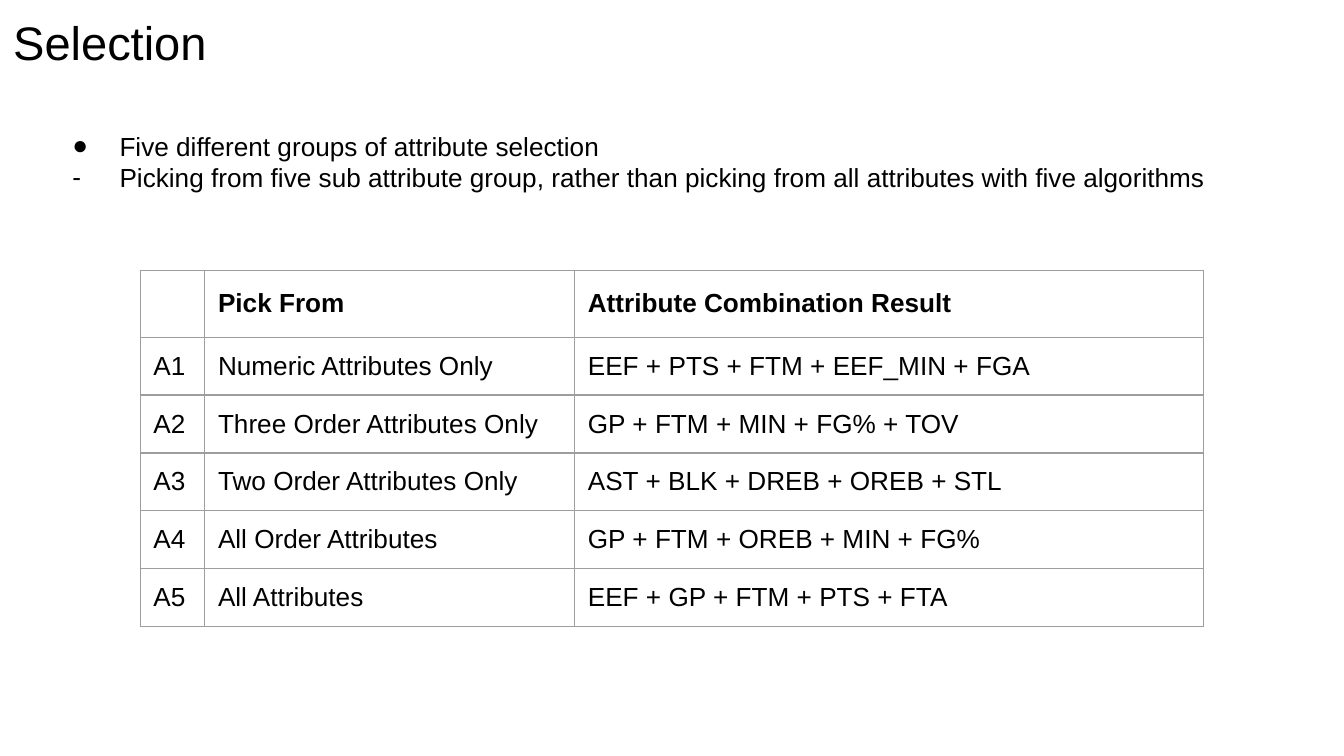
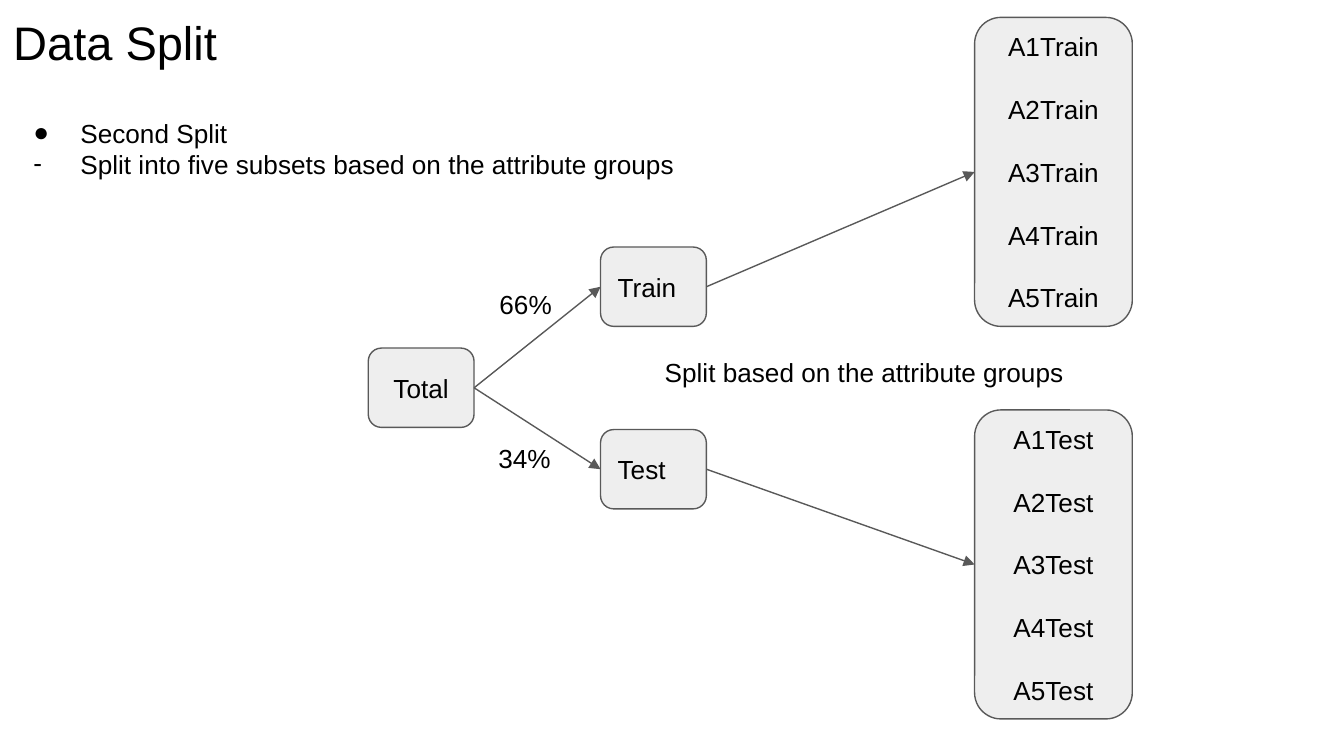
"""Build two slides on attribute selection and the data split."""
import dataclasses

import lxml.etree
import pptx
import pptx.dml.color
import pptx.enum.shapes
import pptx.enum.text
import pptx.oxml.ns
import pptx.util

Cm = pptx.util.Cm
Pt = pptx.util.Pt
qn = pptx.oxml.ns.qn
RGBColor = pptx.dml.color.RGBColor
Align = pptx.enum.text.PP_ALIGN
Anchor = pptx.enum.text.MSO_ANCHOR


@dataclasses.dataclass(frozen=True)
class Theme:
    """Colours, type sizes and line weights of both slides."""
    font: str = "Arial"
    text: str = "000000"
    box: str = "EEEEEE"
    outline: str = "595959"
    grid: str = "9E9E9E"
    title_size: float = 25.2
    body_size: float = 14
    list_gap: float = 16.8
    line_width: float = 0.75
    inset: float = 0.25


THEME = Theme()

GROUPS = [
    ("", "Pick From", "Attribute Combination Result"),
    ("A1", "Numeric Attributes Only", "EEF + PTS + FTM + EEF_MIN + FGA"),
    ("A2", "Three Order Attributes Only", "GP + FTM + MIN + FG% + TOV"),
    ("A3", "Two Order Attributes Only", "AST + BLK + DREB + OREB + STL"),
    ("A4", "All Order Attributes", "GP + FTM + OREB + MIN + FG%"),
    ("A5", "All Attributes", "EEF + GP + FTM + PTS + FTA"),
]


def write(frame, lines, size=THEME.body_size, align=Align.LEFT, bold=False, gap=0):
    """Fill a text frame with one formatted paragraph per line."""
    frame.text = "\n".join(lines)
    for number, paragraph in enumerate(frame.paragraphs):
        paragraph.alignment = align
        if gap and number:
            paragraph.space_before = Pt(gap)
        for run in paragraph.runs:
            run.font.name = THEME.font
            run.font.size = Pt(size)
            run.font.bold = bold
            run.font.color.rgb = RGBColor.from_string(THEME.text)


def set_insets(frame):
    """Give a text frame equal insets and wrapping."""
    frame.word_wrap = True
    frame.margin_left = frame.margin_right = Cm(THEME.inset)
    frame.margin_top = frame.margin_bottom = Cm(THEME.inset)


def add_text(slide, area, lines, **style):
    """Add a text box and return its frame."""
    frame = slide.shapes.add_textbox(*map(Cm, area)).text_frame
    set_insets(frame)
    write(frame, lines, **style)
    return frame


def add_title(slide, title):
    """Add the slide title."""
    add_text(slide, (0, 0, 23.67, 1.6), [title], size=THEME.title_size)


def add_bullets(slide, area, topic, detail):
    """Add a dotted topic followed by a dashed detail."""
    frame = add_text(slide, area, [topic, detail])
    for paragraph, mark in zip(frame.paragraphs, "●-"):
        properties = paragraph._p.get_or_add_pPr()
        properties.set("marL", str(Cm(1.27)))
        properties.set("indent", str(Cm(-0.89)))
        colour = lxml.etree.SubElement(properties, qn("a:buClr"))
        lxml.etree.SubElement(colour, qn("a:srgbClr"), val=THEME.text)
        lxml.etree.SubElement(properties, qn("a:buFont"), typeface=THEME.font)
        lxml.etree.SubElement(properties, qn("a:buChar"), char=mark)


def set_borders(cell):
    """Draw a thin grid line on each side of a cell."""
    properties = cell._tc.get_or_add_tcPr()
    for position, side in enumerate(("a:lnL", "a:lnR", "a:lnT", "a:lnB")):
        border = lxml.etree.Element(qn(side), w=str(Pt(THEME.line_width)))
        fill = lxml.etree.SubElement(border, qn("a:solidFill"))
        lxml.etree.SubElement(fill, qn("a:srgbClr"), val=THEME.grid)
        properties.insert(position, border)


def add_group_table(slide, left, top, widths, row_height, rows):
    """Add an unfilled, bordered table with a bold header row."""
    table = slide.shapes.add_table(
        len(rows), len(widths), Cm(left), Cm(top),
        Cm(sum(widths)), Cm(row_height * len(rows))).table
    table.first_row = table.horz_banding = False
    for column, width in zip(table.columns, widths):
        column.width = Cm(width)
    for row_number, values in enumerate(rows):
        table.rows[row_number].height = Cm(row_height)
        for column_number, value in enumerate(values):
            cell = table.cell(row_number, column_number)
            cell.fill.background()
            cell.vertical_anchor = Anchor.MIDDLE
            cell.margin_left = cell.margin_right = Cm(THEME.inset)
            cell.margin_top = cell.margin_bottom = Cm(THEME.inset)
            write(cell.text_frame, [value], bold=row_number == 0)
            set_borders(cell)


def add_box(slide, area, lines, align=Align.CENTER):
    """Add a rounded process box."""
    box = slide.shapes.add_shape(
        pptx.enum.shapes.MSO_SHAPE.FLOWCHART_ALTERNATE_PROCESS, *map(Cm, area))
    box.shadow.inherit = False
    box.fill.solid()
    box.fill.fore_color.rgb = RGBColor.from_string(THEME.box)
    box.line.color.rgb = RGBColor.from_string(THEME.outline)
    box.line.width = Pt(THEME.line_width)
    set_insets(box.text_frame)
    box.text_frame.vertical_anchor = Anchor.MIDDLE
    write(box.text_frame, lines, align=align, gap=THEME.list_gap)
    return box


def add_arrow(slide, source, target):
    """Link the right side of one box to the left side of another."""
    arrow = slide.shapes.add_connector(
        pptx.enum.shapes.MSO_CONNECTOR.STRAIGHT, 0, 0, 0, 0)
    arrow.begin_connect(source, 3)
    arrow.end_connect(target, 1)
    arrow.line.color.rgb = RGBColor.from_string(THEME.outline)
    arrow.line.width = Pt(THEME.line_width)
    properties = arrow._element.spPr
    lxml.etree.SubElement(properties.find(qn("a:ln")), qn("a:tailEnd"), type="triangle")
    lxml.etree.SubElement(properties, qn("a:effectLst"))


def build_selection(slide):
    """Build the slide with the attribute groups."""
    add_title(slide, "Selection")
    add_bullets(
        slide, (0.74, 2.21, 24.13, 1.7),
        "Five different groups of attribute selection",
        "Picking from five sub attribute group, rather than picking from "
        "all attributes with five algorithms")
    add_group_table(slide, 2.65, 5.11, (1.22, 6.99, 11.89), 1.07, GROUPS)


def build_data_split(slide):
    """Build the slide with the split tree."""
    add_title(slide, "Data Split")
    total = add_box(slide, (6.96, 6.58, 2, 1.5), ["Total"])
    branches = (
        ("Train", 4.67, 0.33, "66%", 7.85, 5.21),
        ("Test", 8.12, 7.75, "34%", 7.83, 8.12),
    )
    for part, top, subsets_top, share, share_left, share_top in branches:
        branch = add_box(slide, (11.35, top, 2, 1.5), [part], Align.LEFT)
        names = [f"{group}{part}" for group, *_ in GROUPS[1:]]
        subsets = add_box(slide, (18.42, subsets_top, 2.98, 5.84), names)
        add_arrow(slide, total, branch)
        add_arrow(slide, branch, subsets)
        add_text(slide, (share_left, share_top, 4.17, 1.12), [share], align=Align.CENTER)
    add_text(slide, (9.35, 6.48, 13.97, 1.12),
             ["Split based on the attribute groups"], align=Align.CENTER)
    add_bullets(slide, (0, 1.96, 23.88, 2.31), "Second Split",
                "Split into five subsets based on the attribute groups")


def main():
    """Create the presentation and save it."""
    presentation = pptx.Presentation()
    presentation.slide_width = Cm(25.4)
    presentation.slide_height = Cm(14.29)
    for build in (build_selection, build_data_split):
        build(presentation.slides.add_slide(presentation.slide_layouts[6]))
    presentation.save("out.pptx")


main()
